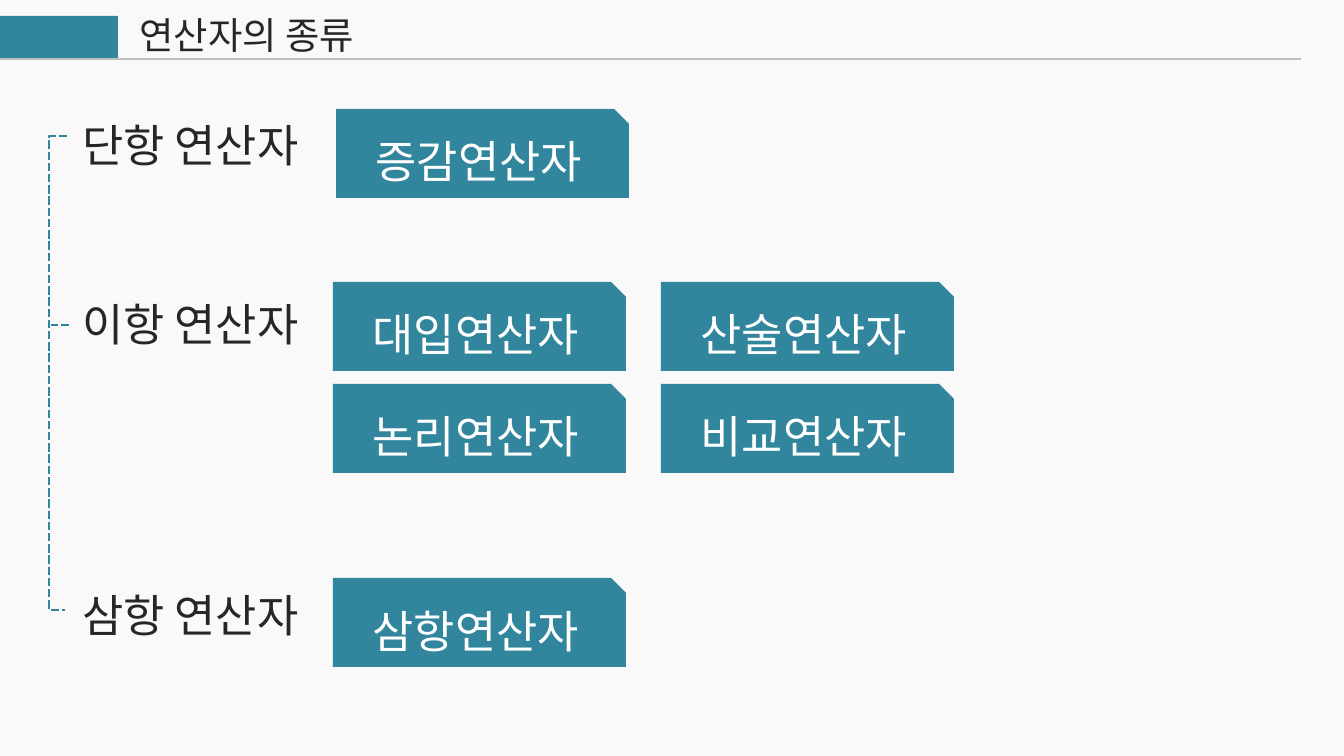
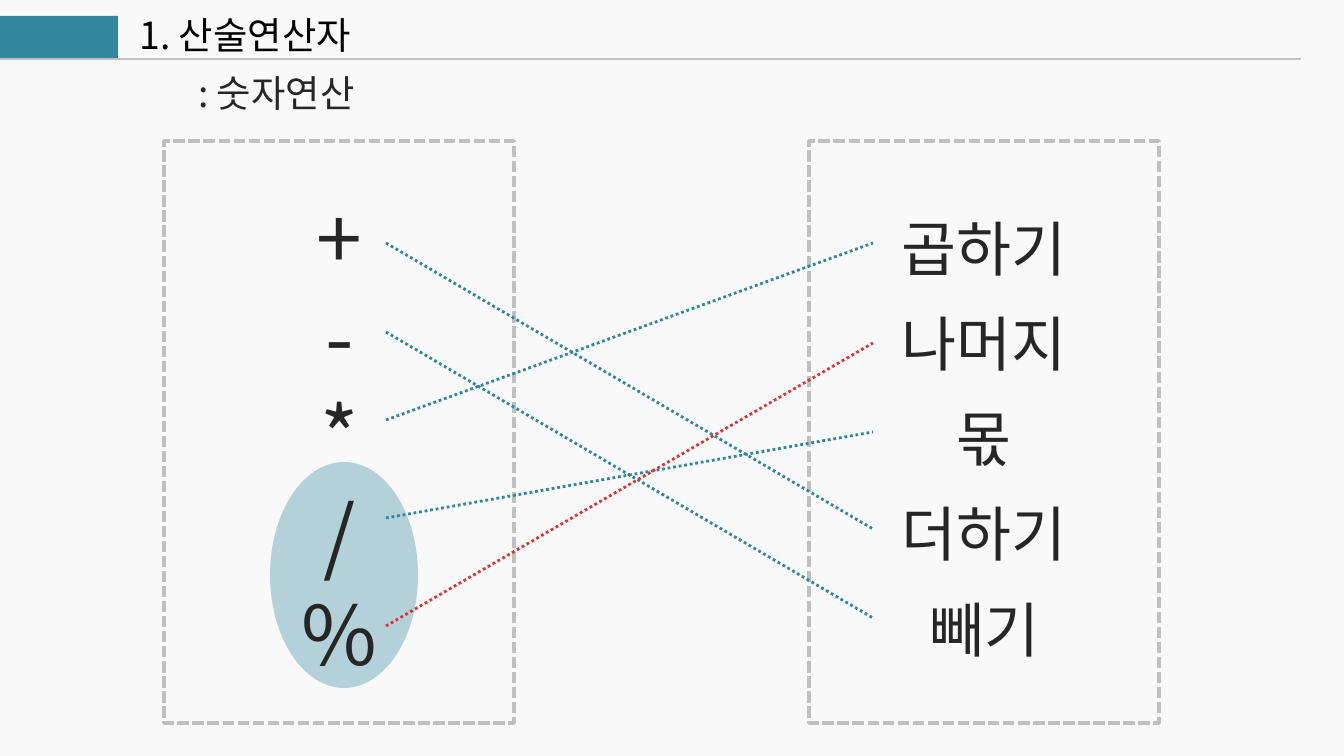
import pptx
import pptx.dml.color
import pptx.enum.dml
import pptx.enum.shapes
import pptx.enum.text
import pptx.oxml
import pptx.oxml.ns
import pptx.util

RGBColor = pptx.dml.color.RGBColor
Pt = pptx.util.Pt
SHAPE = pptx.enum.shapes.MSO_SHAPE
ALIGN = pptx.enum.text.PP_ALIGN
ANCHOR = pptx.enum.text.MSO_ANCHOR
DASHED = pptx.enum.dml.MSO_LINE.SQUARE_DOT
DOTTED = pptx.enum.dml.MSO_LINE.ROUND_DOT

# Shared look
TEAL = RGBColor(0x31, 0x85, 0x9C)
RED = RGBColor(0xDC, 0x34, 0x34)
GREY = RGBColor(0xBF, 0xBF, 0xBF)
INK = RGBColor(0x26, 0x26, 0x26)
BLACK = RGBColor(0, 0, 0)
WHITE = RGBColor(0xFF, 0xFF, 0xFF)
PAPER = RGBColor(0xF9, 0xF9, 0xF9)
FONT = "Noto Sans CJK KR"
EMU_PER_PIXEL = 914400 / 134.4


def px(pixels):
    return pptx.util.Emu(round(pixels * EMU_PER_PIXEL))


def add_xml(parent, tag, **attributes):
    child = pptx.oxml.parse_xml(f"<{tag} {pptx.oxml.ns.nsdecls('a')}/>")
    for name, value in attributes.items():
        child.set(name, value)
    parent.append(child)
    return child


def place(shape, left, top, width, height):
    shape.left, shape.top = px(left), px(top)
    shape.width, shape.height = px(width), px(height)


# Text
def write(shape, text, size, color, align=ALIGN.LEFT, anchor=ANCHOR.TOP,
          line=None, gap=0):
    """Fill a shape with one paragraph per line of text, at a fixed line height."""
    frame = shape.text_frame
    frame.text = text
    frame.word_wrap = True
    frame.auto_size = pptx.enum.text.MSO_AUTO_SIZE.NONE
    frame.vertical_anchor = anchor
    for index, paragraph in enumerate(frame.paragraphs):
        paragraph.alignment = align
        paragraph.line_spacing = Pt(line or size * 1.24)
        paragraph.space_before = Pt(gap if index else 0)
        paragraph.space_after = Pt(0)
        for span in paragraph.runs:
            span.font.size = Pt(size)
            span.font.name = FONT
            span.font.color.rgb = color
            add_xml(span.font._element, "a:ea", typeface=FONT)


def add_text(page, text, box, size):
    shape = page.shapes.add_textbox(0, 0, 0, 0)
    place(shape, *box)
    write(shape, text, size, INK)


def fill_list(placeholder, items, box, size, line, gap=0):
    """Turn a body placeholder into a centred column without bullets."""
    place(placeholder, *box)
    write(placeholder, "\n".join(items), size, INK, ALIGN.CENTER,
          line=line, gap=gap)
    for paragraph in placeholder.text_frame.paragraphs:
        properties = paragraph._p.get_or_add_pPr()
        properties.set("marL", "0")
        properties.set("indent", "0")
        add_xml(properties, "a:buNone")


# Shapes and lines
def add_shape(page, kind, box, fill=None):
    shape = page.shapes.add_shape(kind, 0, 0, 0, 0)
    place(shape, *box)
    shape.shadow.inherit = False
    shape.line.fill.background()
    if fill is None:
        shape.fill.background()
    else:
        shape.fill.solid()
        shape.fill.fore_color.rgb = fill
    return shape


def style_line(shape, color, width, dash=None):
    shape.line.color.rgb = color
    shape.line.width = Pt(width)
    if dash is not None:
        shape.line.dash_style = dash


def add_line(page, start, end, color, width, dash=None):
    line = page.shapes.add_connector(
        pptx.enum.shapes.MSO_CONNECTOR.STRAIGHT,
        px(start[0]), px(start[1]), px(end[0]), px(end[1]))
    style_line(line, color, width, dash)
    add_xml(line._element.spPr, "a:effectLst")


def add_chip(page, text, left, top):
    chip = add_shape(page, SHAPE.SNIP_1_RECTANGLE, (left, top, 293, 89), TEAL)
    write(chip, text, 24, WHITE, ALIGN.CENTER, ANCHOR.MIDDLE, line=33)


def add_bracket(page, points):
    builder = page.shapes.build_freeform(*points[0], scale=EMU_PER_PIXEL)
    builder.add_line_segments(points[1:], close=False)
    bracket = builder.convert_to_shape()
    bracket.fill.background()
    bracket.shadow.inherit = False
    style_line(bracket, TEAL, 1.5, DASHED)


def add_page(deck, layout, title, color):
    """Page with the shared background, title, band and rule."""
    page = deck.slides.add_slide(deck.slide_layouts[layout])
    page.background.fill.solid()
    page.background.fill.fore_color.rgb = PAPER
    place(page.shapes.title, 126, 4, 292, 59)
    write(page.shapes.title, title, 20, color)
    add_shape(page, SHAPE.RECTANGLE, (-1, 16, 119, 42), TEAL)
    add_line(page, (-1, 59), (1301, 59), GREY, 1)
    return page


# Slide 1: operator families
def build_kinds(deck):
    page = add_page(deck, 5, "연산자의 종류", INK)
    chips = [("증감연산자", 336, 109),
             ("대입연산자", 333, 282), ("산술연산자", 661, 282),
             ("논리연산자", 333, 384), ("비교연산자", 661, 384),
             ("삼항연산자", 333, 578)]
    for chip in chips:
        add_chip(page, *chip)
    for name, top in (("단항", 109), ("이항", 288), ("삼항", 579)):
        add_text(page, name + " 연산자", (69, top, 263, 67), 24)
    add_bracket(page, [(67, 136), (49, 136), (49, 610), (65, 610)])
    add_line(page, (69, 325), (51, 325), TEAL, 1.5, DASHED)


# Slide 2: arithmetic symbols matched with their names
def build_arithmetic(deck):
    page = add_page(deck, 3, "1. 산술연산자", BLACK)
    symbols, names = list(page.placeholders)[1:3]
    add_text(page, ": 숫자연산", (185, 62, 1038, 59), 20)
    for left in (164, 809):
        panel = add_shape(page, SHAPE.RECTANGLE, (left, 141, 350, 582))
        style_line(panel, GREY, 2, DASHED)

    # Highlight behind the last two symbols
    halo = add_shape(page, SHAPE.OVAL, (270, 462, 148, 226), TEAL)
    tint = halo._element.spPr.find(".//" + pptx.oxml.ns.qn("a:srgbClr"))
    add_xml(tint, "a:alpha", val="34000")
    page.shapes._spTree.insert(2, halo._element)

    fill_list(symbols, ["+", "-", "*", "/", "%"], (202, 180, 275, 511), 44, 53)
    fill_list(names, ["곱하기", "나머지", "몫", "더하기", "빼기"],
              (778, 200, 413, 470), 32, 41, gap=10)

    # Matching lines: symbol height, name height, colour
    matches = [(243, 529, TEAL), (332, 618, TEAL), (420, 243, TEAL),
               (518, 432, TEAL), (626, 343, RED)]
    for start, end, color in matches:
        add_line(page, (386, start), (873, end), color, 1.5, DOTTED)


def main():
    deck = pptx.Presentation()
    deck.slide_width, deck.slide_height = px(1344), px(756)
    build_kinds(deck)
    build_arithmetic(deck)
    deck.save("out.pptx")


main()
